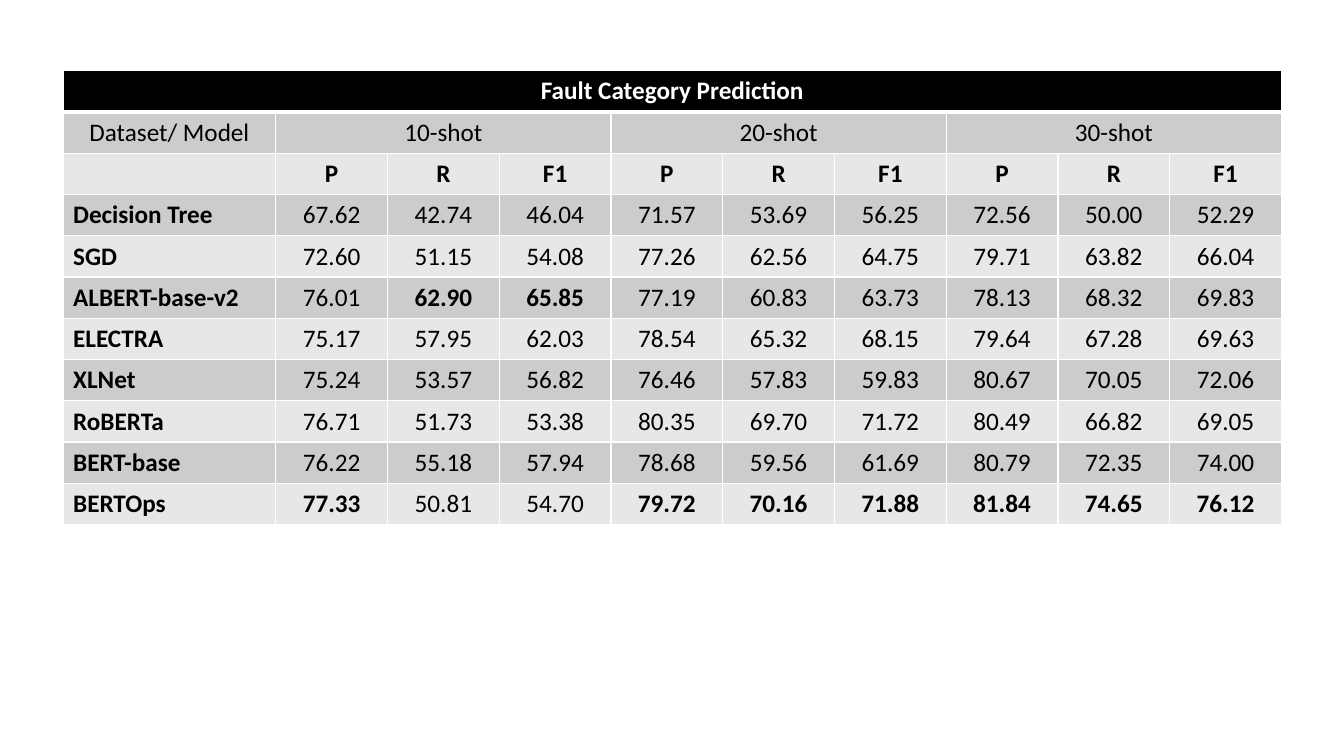
from pptx import Presentation
from pptx.dml.color import RGBColor
from pptx.enum.text import MSO_ANCHOR, PP_ALIGN
from pptx.oxml import parse_xml
from pptx.oxml.ns import nsdecls
from pptx.util import Cm, Pt

COLORS = {"title": "000000", "dark": "CCCCCC", "light": "E7E7E7",
          "text": "000000", "inverse": "FFFFFF", "border": "FFFFFF"}
TITLE = "Fault Category Prediction"
SHOTS = ["10-shot", "20-shot", "30-shot"]
METRICS = ["P", "R", "F1"]
SCORES = {
    "Decision Tree": "67.62 42.74 46.04 71.57 53.69 56.25 72.56 50.00 52.29",
    "SGD": "72.60 51.15 54.08 77.26 62.56 64.75 79.71 63.82 66.04",
    "ALBERT-base-v2": "76.01 62.90 65.85 77.19 60.83 63.73 78.13 68.32 69.83",
    "ELECTRA": "75.17 57.95 62.03 78.54 65.32 68.15 79.64 67.28 69.63",
    "XLNet": "75.24 53.57 56.82 76.46 57.83 59.83 80.67 70.05 72.06",
    "RoBERTa": "76.71 51.73 53.38 80.35 69.70 71.72 80.49 66.82 69.05",
    "BERT-base": "76.22 55.18 57.94 78.68 59.56 61.69 80.79 72.35 74.00",
    "BERTOps": "77.33 50.81 54.70 79.72 70.16 71.88 81.84 74.65 76.12",
}
HIGHLIGHTS = {"ALBERT-base-v2": {2, 3}, "BERTOps": {1, 4, 5, 6, 7, 8, 9}}
HEADER_ROWS = 3


def add_borders(cell, top, bottom):
    """Draw the four cell borders, with the given top and bottom widths in points."""
    properties = cell._tc.get_or_add_tcPr()
    for side, width in (("L", 1), ("R", 1), ("T", top), ("B", bottom)):
        properties.append(parse_xml(
            f'<a:ln{side} {nsdecls("a")} w="{Pt(width)}"><a:solidFill>'
            f'<a:srgbClr val="{COLORS["border"]}"/></a:solidFill></a:ln{side}>'))


def style_cell(cell, text, fill, color, bold, alignment):
    """Fill a cell and write its text."""
    cell.fill.solid()
    cell.fill.fore_color.rgb = RGBColor.from_string(COLORS[fill])
    cell.vertical_anchor = MSO_ANCHOR.MIDDLE
    paragraph = cell.text_frame.paragraphs[0]
    paragraph.alignment = alignment
    font = paragraph.font
    font.name, font.size, font.bold = "Calibri", Pt(18), bold
    font.color.rgb = RGBColor.from_string(COLORS[color])
    if text:
        paragraph.add_run().text = text


def table_rows():
    """Return the text of every row, with blanks where merged cells continue."""
    span = len(METRICS)
    columns = 1 + span * len(SHOTS)
    shots = [text for shot in SHOTS for text in [shot] + [""] * (span - 1)]
    return [[TITLE] + [""] * (columns - 1),
            ["Dataset/ Model"] + shots,
            [""] + METRICS * len(SHOTS),
            *([model] + scores.split() for model, scores in SCORES.items())]


def add_score_table(slide, left, top, width, height):
    """Place the table of scores in the given box."""
    rows = table_rows()
    columns = len(rows[0])
    table = slide.shapes.add_table(len(rows), columns, left, top, width, height).table
    model_width = Cm(5.36)
    table.columns[0].width = model_width
    for column in range(1, columns):
        table.columns[column].width = (width - model_width) // (columns - 1)
    for row, texts in enumerate(rows):
        table.rows[row].height = height // len(rows)
        highlighted = HIGHLIGHTS.get(texts[0], set())
        fill = "title" if row == 0 else "dark" if row % 2 else "light"
        color = "inverse" if row == 0 else "text"
        for column, text in enumerate(texts):
            is_model = row >= HEADER_ROWS and column == 0
            bold = row in (0, 2) or is_model or column in highlighted
            alignment = PP_ALIGN.LEFT if is_model else PP_ALIGN.CENTER
            cell = table.cell(row, column)
            add_borders(cell, 3 if row == 1 else 1, 3 if row == 0 else 1)
            style_cell(cell, text, fill, color, bold, alignment)
    table.cell(0, 0).merge(table.cell(0, columns - 1))
    for first in range(1, columns, len(METRICS)):
        table.cell(1, first).merge(table.cell(1, first + len(METRICS) - 1))


def main():
    """Build and save the presentation."""
    presentation = Presentation()
    presentation.slide_width, presentation.slide_height = Cm(33.87), Cm(19.05)
    slide = presentation.slides.add_slide(presentation.slide_layouts[6])
    add_score_table(slide, Cm(1.59), Cm(1.78), Cm(30.71), Cm(11.44))
    presentation.save("out.pptx")


main()
